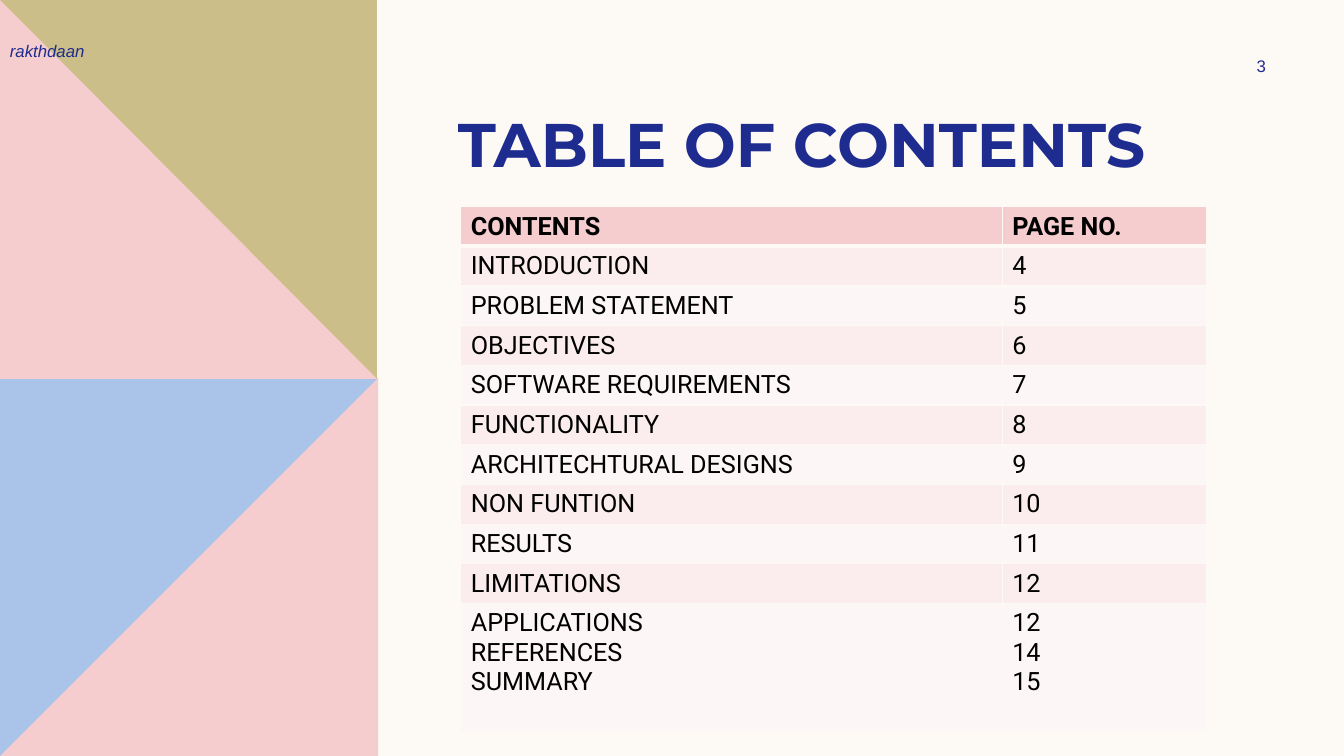
from lxml.etree import SubElement
from pptx import Presentation
from pptx.dml.color import RGBColor
from pptx.enum.text import MSO_ANCHOR, MSO_AUTO_SIZE, PP_ALIGN
from pptx.oxml.ns import qn
from pptx.util import Inches, Pt

NAVY = RGBColor(0x1F, 0x2C, 0x8F)
BLACK = RGBColor(0x00, 0x00, 0x00)
CREAM = RGBColor(0xFD, 0xFA, 0xF6)
BLUE = RGBColor(0xAA, 0xC3, 0xE8)
PINK = RGBColor(0xF5, 0xCD, 0xCE)
OLIVE = RGBColor(0xCC, 0xBE, 0x89)
BAND_DARK = RGBColor(0xFB, 0xED, 0xED)
BAND_LIGHT = RGBColor(0xFD, 0xF6, 0xF6)

# Content
TITLE = "TABLE OF CONTENTS"
ROWS = [
    ("CONTENTS", "PAGE NO."),
    ("INTRODUCTION", "4"),
    ("PROBLEM STATEMENT", "5"),
    ("OBJECTIVES", "6"),
    ("SOFTWARE REQUIREMENTS", "7"),
    ("FUNCTIONALITY", "8"),
    ("ARCHITECHTURAL DESIGNS", "9"),
    ("NON FUNTION", "10"),
    ("RESULTS", "11"),
    ("LIMITATIONS", "12"),
    ("APPLICATIONS\nREFERENCES\nSUMMARY", "12\n14\n15"),
]
COL_WIDTHS = (5.37, 2.03)
ROW_HEIGHT, LAST_HEIGHT = 0.39, 1.27

# Side panel: outlines in inches, back to front
PANEL = [
    (BLUE, [(0, 3.75), (3.75, 3.75), (3.75, 7.5), (0, 7.5)]),
    (PINK, [(3.75, 3.75), (3.75, 7.5), (0, 7.5)]),
    (OLIVE, [(0, 0), (3.74, 0), (3.74, 3.76), (0, 3.76)]),
    (PINK, [(0, 0), (3.74, 3.76), (0, 3.76)]),
]
# Small labels: text, box, alignment, italic
LABELS = [
    ("rakthdaan", (0, 0.35, 3.5, 0.3), PP_ALIGN.LEFT, True),
    ("3", (11.97, 0.5, 1.08, 0.3), PP_ALIGN.CENTER, False),
]


def style(p, font, size, color, bold=False, italic=False):
    p.font.name, p.font.size = font, Pt(size)
    p.font.bold, p.font.italic = bold, italic
    p.font.color.rgb = color


def set_borders(cell, bottom):
    tc_pr = cell._tc.get_or_add_tcPr()
    for side, width in (("L", 1), ("R", 1), ("T", 1), ("B", bottom)):
        ln = SubElement(tc_pr, qn(f"a:ln{side}"), w=str(Pt(width)))
        fill = SubElement(ln, qn("a:solidFill"))
        SubElement(fill, qn("a:srgbClr"), val=str(CREAM))


prs = Presentation()
prs.slide_width, prs.slide_height = Inches(13.33), Inches(7.5)
s = prs.slides.add_slide(prs.slide_layouts[5])
s.background.fill.solid()
s.background.fill.fore_color.rgb = CREAM

# Side panel
for color, points in PANEL:
    corners = [(Inches(x), Inches(y)) for x, y in points]
    builder = s.shapes.build_freeform(*corners[0])
    builder.add_line_segments(corners[1:], close=True)
    sp = builder.convert_to_shape()
    sp.fill.solid()
    sp.fill.fore_color.rgb = color
    sp.line.fill.background()
    sp.shadow.inherit = False

# Title
sp = s.shapes.title
sp.left, sp.top, sp.width, sp.height = map(Inches, (4.44, 1, 7.76, 0.84))
tf = sp.text_frame
tf.text = TITLE
tf.auto_size = MSO_AUTO_SIZE.NONE
tf.vertical_anchor = MSO_ANCHOR.MIDDLE
p = tf.paragraphs[0]
p.alignment = PP_ALIGN.LEFT
style(p, "Montserrat", 44, NAVY, bold=True)

# Contents table
heights = [ROW_HEIGHT] * (len(ROWS) - 1) + [LAST_HEIGHT]
table = s.shapes.add_table(
    len(ROWS), len(COL_WIDTHS), Inches(4.57), Inches(2.05),
    Inches(sum(COL_WIDTHS)), Inches(sum(heights))).table
for column, width in zip(table.columns, COL_WIDTHS):
    column.width = Inches(width)
for i, (texts, height) in enumerate(zip(ROWS, heights)):
    table.rows[i].height = Inches(height)
    header = i == 0
    band = PINK if header else (BAND_LIGHT, BAND_DARK)[i % 2]
    for cell, text in zip(table.rows[i].cells, texts):
        cell.text = text
        set_borders(cell, 3 if header else 1)
        cell.fill.solid()
        cell.fill.fore_color.rgb = band
        for p in cell.text_frame.paragraphs:
            style(p, "Roboto", 18, BLACK, bold=header)

# Project name and page number
for text, box, align, italic in LABELS:
    tf = s.shapes.add_textbox(*map(Inches, box)).text_frame
    tf.word_wrap = True
    tf.vertical_anchor = MSO_ANCHOR.MIDDLE
    tf.text = text
    p = tf.paragraphs[0]
    p.alignment = align
    style(p, "Arial", 12, NAVY, italic=italic)

prs.save("out.pptx")
